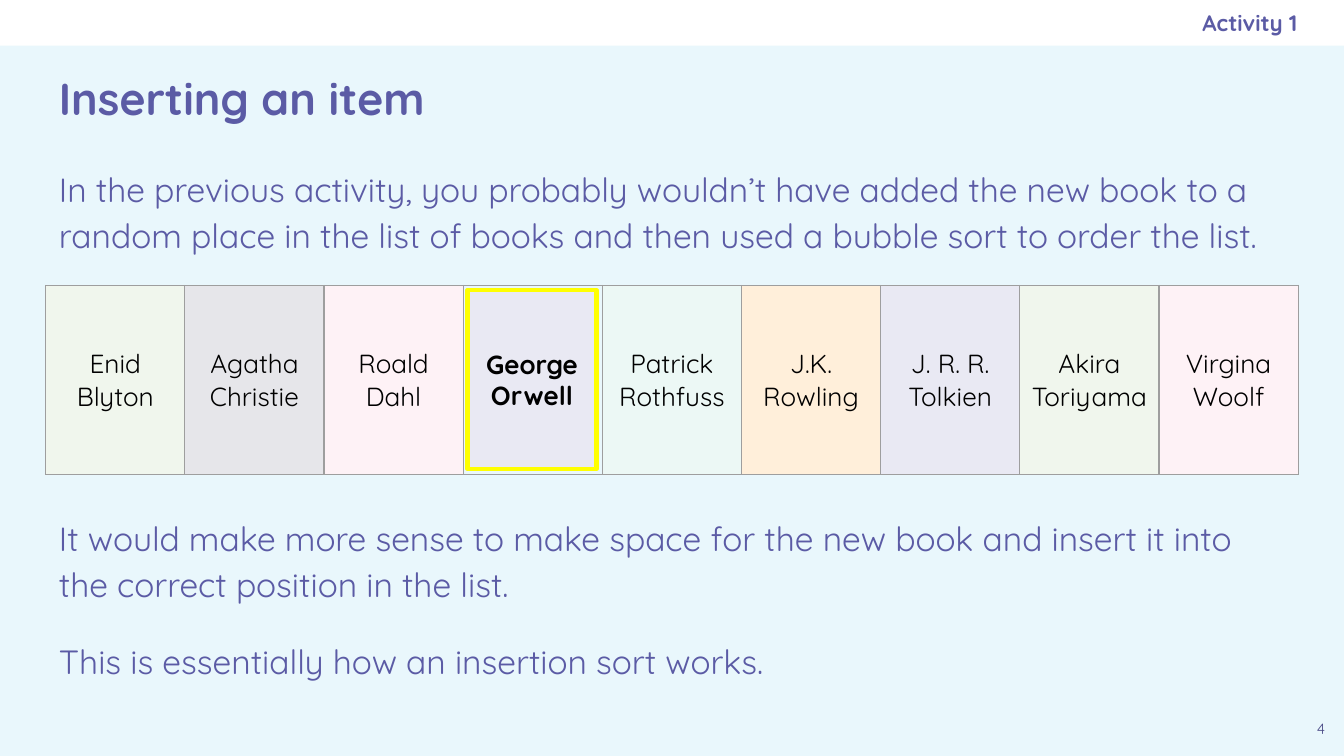
from copy import deepcopy
from dataclasses import dataclass

from lxml import etree
from pptx import Presentation
from pptx.dml.color import RGBColor
from pptx.enum.shapes import MSO_SHAPE
from pptx.enum.text import MSO_ANCHOR, PP_ALIGN
from pptx.oxml.ns import qn
from pptx.util import Pt

RECTANGLE = MSO_SHAPE.RECTANGLE
TOP, MIDDLE = MSO_ANCHOR.TOP, MSO_ANCHOR.MIDDLE
LEFT, CENTER, RIGHT = PP_ALIGN.LEFT, PP_ALIGN.CENTER, PP_ALIGN.RIGHT


@dataclass(frozen=True)
class Theme:
    font: str = "Quicksand"
    background: str = "E9F7FC"
    band: str = "FFFFFF"
    text: str = "5B5BA5"
    number: str = "494985"
    author: str = "000000"
    border: str = "9E9E9E"
    highlight: str = "FFFF00"
    green: str = "F0F6ED"
    grey: str = "E6E6EA"
    pink: str = "FEF2F6"
    mint: str = "ECF8F5"
    orange: str = "FFEFDA"
    lilac: str = "E9E9F3"
    title_size: int = 24
    body_size: int = 18
    author_size: int = 14
    header_size: int = 12
    number_size: int = 8


THEME = Theme()
SLIDE_WIDTH, SLIDE_HEIGHT = 720, 405
MARGIN = 24.5
CONTENT_WIDTH = SLIDE_WIDTH - 2 * MARGIN
HEADER_HEIGHT = 24.5
INSET = 7.2
SHELF_TOP, SHELF_HEIGHT = 152.9, 101.3
BORDER_WIDTH = 0.75

# "\v" breaks a line, "\n" starts a paragraph; None is the gap for the new book.
BOOKS = [
    ("Enid\nBlyton", THEME.green),
    ("Agatha\vChristie", THEME.grey),
    ("Roald\vDahl", THEME.pink),
    None,
    ("Patrick\vRothfuss", THEME.mint),
    ("J.K.\vRowling", THEME.orange),
    ("J. R. R.\vTolkien", THEME.lilac),
    ("Akira\nToriyama", THEME.green),
    ("Virgina\vWoolf", THEME.pink),
]
NEW_BOOK = "George\vOrwell"


def apply_format(target, values):
    for name, value in values.items():
        setattr(target, name, value)


def fill_solid(fill, color):
    fill.solid()
    fill.fore_color.rgb = RGBColor.from_string(color)


def write_text(frame, text, size, color=THEME.text, bold=False, **paragraph_format):
    """Write and format paragraphs, giving line breaks the size of their run."""
    frame.text = text
    for paragraph in frame.paragraphs:
        apply_format(paragraph, paragraph_format)
        for run in paragraph.runs:
            apply_format(run.font, {"name": THEME.font, "size": Pt(size), "bold": bold})
            run.font.color.rgb = RGBColor.from_string(color)
        for line_break in paragraph._p.findall(qn("a:br")):
            line_break.append(deepcopy(paragraph.runs[0]._r.get_or_add_rPr()))


def format_frame(frame, anchor, right_inset=INSET):
    apply_format(frame, {
        "word_wrap": True,
        "vertical_anchor": anchor,
        "margin_left": Pt(INSET),
        "margin_right": Pt(right_inset),
        "margin_top": Pt(INSET),
        "margin_bottom": Pt(INSET),
    })


def add_text(slide, box, text, size, anchor=TOP, right_inset=INSET, **text_format):
    frame = slide.shapes.add_textbox(*map(Pt, box)).text_frame
    format_frame(frame, anchor, right_inset)
    write_text(frame, text, size, **text_format)
    return frame


def add_rectangle(slide, box, color):
    rectangle = slide.shapes.add_shape(RECTANGLE, *map(Pt, box))
    rectangle.shadow.inherit = False
    fill_solid(rectangle.fill, color)
    rectangle.line.fill.background()
    return rectangle


def add_cell_borders(cell):
    properties = cell._tc.get_or_add_tcPr()
    for side in ("lnL", "lnR", "lnT", "lnB"):
        line = etree.SubElement(properties, qn(f"a:{side}"), w=str(Pt(BORDER_WIDTH)))
        solid = etree.SubElement(line, qn("a:solidFill"))
        etree.SubElement(solid, qn("a:srgbClr"), val=THEME.border)


def add_bookshelf(slide):
    box = (MARGIN, SHELF_TOP, CONTENT_WIDTH, SHELF_HEIGHT)
    shelf = slide.shapes.add_table(1, len(BOOKS), *map(Pt, box)).table
    apply_format(shelf, {"first_row": False, "horz_banding": False})
    for column, book in enumerate(BOOKS):
        shelf.columns[column].width = Pt(CONTENT_WIDTH / len(BOOKS))
        cell = shelf.cell(0, column)
        apply_format(cell, {
            "vertical_anchor": MIDDLE,
            "margin_left": Pt(4.3),
            "margin_right": Pt(4.3),
            "margin_top": Pt(INSET),
            "margin_bottom": Pt(INSET),
        })
        add_cell_borders(cell)
        if book is None:
            cell.fill.background()
            continue
        author, color = book
        fill_solid(cell.fill, color)
        write_text(cell.text_frame, author, THEME.author_size,
                   color=THEME.author, alignment=CENTER)


def add_new_book(slide):
    book = add_rectangle(slide, (250.4, 155.4, 69.2, 95.8), THEME.lilac)
    fill_solid(book.line.fill, THEME.highlight)
    book.line.width = Pt(2.25)
    format_frame(book.text_frame, MIDDLE)
    write_text(book.text_frame, NEW_BOOK, THEME.author_size,
               color=THEME.author, bold=True, alignment=CENTER)


def main():
    presentation = Presentation()
    apply_format(presentation, {"slide_width": Pt(SLIDE_WIDTH),
                                "slide_height": Pt(SLIDE_HEIGHT)})
    slide = presentation.slides.add_slide(presentation.slide_layouts[6])
    fill_solid(slide.background.fill, THEME.background)

    add_rectangle(slide, (0, 0, SLIDE_WIDTH, HEADER_HEIGHT), THEME.band)
    add_text(slide, (MARGIN, 80, CONTENT_WIDTH, 300),
             "In the previous activity, you probably wouldn’t have added the new book "
             "to a random place in the list of books and then used a bubble sort to "
             "order the list.",
             THEME.body_size, line_spacing=1.15, space_after=Pt(16))
    add_text(slide, (MARGIN, HEADER_HEIGHT, CONTENT_WIDTH, 55.5),
             "Inserting an item", THEME.title_size, anchor=MIDDLE, bold=True)
    add_text(slide, (SLIDE_WIDTH - MARGIN, 380.5, MARGIN, 24.5),
             "4", THEME.number_size, color=THEME.number, alignment=CENTER)
    add_text(slide, (414, 0, 281, HEADER_HEIGHT), "Activity 1", THEME.header_size,
             anchor=MIDDLE, right_inset=0, bold=True, alignment=RIGHT)
    add_bookshelf(slide)
    add_new_book(slide)
    conclusion = add_text(
        slide, (MARGIN, 267.1, CONTENT_WIDTH, 125.3),
        "It would make more sense to make space for the new book and insert it into "
        "the correct position in the list.\n"
        "This is essentially how an insertion sort works.",
        THEME.body_size, alignment=LEFT, line_spacing=1.15)
    apply_format(conclusion.paragraphs[-1],
                 {"space_before": Pt(16), "space_after": Pt(16)})

    presentation.save("out.pptx")


if __name__ == "__main__":
    main()
